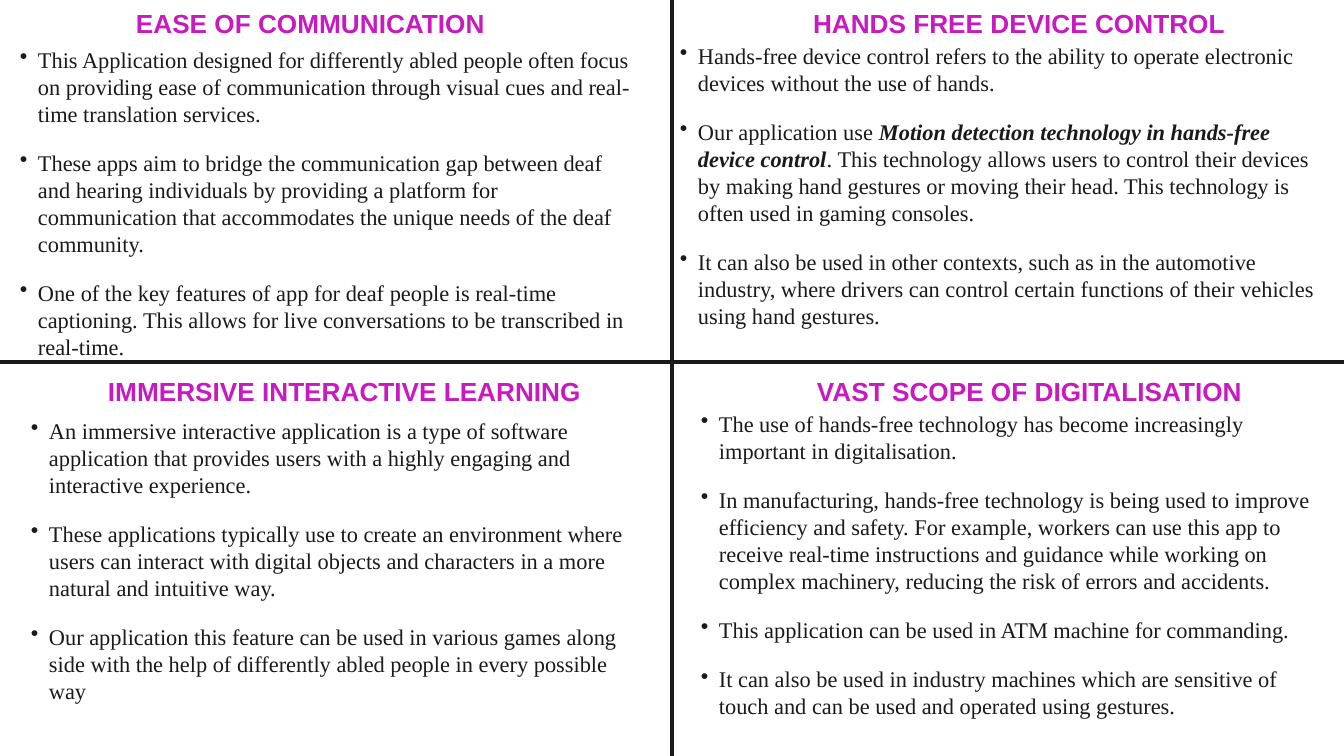
from lxml import etree
from pptx import Presentation
from pptx.dml.color import RGBColor
from pptx.enum.shapes import MSO_CONNECTOR
from pptx.oxml.ns import qn
from pptx.util import Emu, Pt

STRAIGHT = MSO_CONNECTOR.STRAIGHT
SCALE = 914400 / 134.4
WIDTH, HEIGHT = 1344, 756
MID_X, MID_Y = 672, 362
INK, MAGENTA = "1A1A1A", "C71ABF"
INDENT = 18

QUADRANTS = [
    ((0, 0), "EASE OF COMMUNICATION", (136, 7, 360, 31), (20, 46, 612, 313), [
        "This Application designed for differently abled people often focus on providing ease of "
        "communication through visual cues and real-time translation services.",
        "These apps aim to bridge the communication gap between deaf and hearing individuals by "
        "providing a platform for communication that accommodates the unique needs of the deaf community.",
        "One of the key features of app for deaf people is real-time captioning. This allows for live "
        "conversations to be transcribed in real-time.",
    ]),
    ((MID_X, 0), "HANDS FREE DEVICE CONTROL", (141, 7, 422, 31), (8, 42, 638, 286), [
        "Hands-free device control refers to the ability to operate electronic devices without the use of hands.",
        "Our application use **Motion detection technology in hands-free device control**. This technology "
        "allows users to control their devices by making hand gestures or moving their head. This "
        "technology is often used in gaming consoles.",
        "It can also be used in other contexts, such as in the automotive industry, where drivers can "
        "control certain functions of their vehicles using hand gestures.",
    ]),
    ((0, MID_Y), "IMMERSIVE INTERACTIVE LEARNING", (108, 13, 484, 31), (31, 55, 612, 313), [
        "An immersive interactive application is a type of software application that provides users with "
        "a highly engaging and interactive experience.",
        "These applications typically use to create an environment where users can interact with digital "
        "objects and characters in a more natural and intuitive way.",
        "Our application this feature can be used in various games along side with the help of "
        "differently abled people in every possible way",
    ]),
    ((MID_X, MID_Y), "VAST SCOPE OF DIGITALISATION", (145, 13, 440, 31), (29, 48, 612, 390), [
        "The use of hands-free technology has become increasingly important in digitalisation.",
        "In manufacturing, hands-free technology is being used to improve efficiency and safety. For "
        "example, workers can use this app to receive real-time instructions and guidance while working "
        "on complex machinery, reducing the risk of errors and accidents.",
        "This application can be used in ATM machine for commanding.",
        "It can also be used in industry machines which are sensitive of touch and can be used and "
        "operated using gestures.",
    ]),
]


def px(n):
    """Turn pixels into EMU."""
    return Emu(round(n * SCALE))


def color(hex_value):
    """Turn a hex string into a colour."""
    return RGBColor.from_string(hex_value)


def add_text_frame(s, origin, box, wrap):
    """Add a text box without margins, placed relative to an origin."""
    x, y, w, h = box
    tf = s.shapes.add_textbox(px(origin[0] + x), px(origin[1] + y), px(w), px(h)).text_frame
    tf.margin_left = tf.margin_top = tf.margin_right = tf.margin_bottom = 0
    tf.word_wrap = wrap
    return tf


def style_run(r, font, size, hex_value, bold=False, italic=False):
    """Set the font of one run."""
    r.font.name = font
    r.font.size = Pt(size)
    r.font.color.rgb = color(hex_value)
    r.font.bold = bold
    r.font.italic = italic


def set_bullet(p):
    """Give a paragraph a hanging bullet."""
    pPr = p._p.get_or_add_pPr()
    pPr.set("marL", str(px(INDENT)))
    pPr.set("indent", str(-px(INDENT)))
    fill = etree.SubElement(pPr, qn("a:buClr"))
    etree.SubElement(fill, qn("a:srgbClr")).set("val", INK)
    etree.SubElement(pPr, qn("a:buChar")).set("char", "•")


def add_quadrant(s, origin, title, title_box, body_box, bullets):
    """Place a heading and its bullet list in one quarter of the slide."""
    tf = add_text_frame(s, origin, title_box, False)
    tf.text = title
    style_run(tf.paragraphs[0].runs[0], "Arial", 14, MAGENTA, bold=True)

    tf = add_text_frame(s, origin, body_box, True)
    for i, bullet in enumerate(bullets):
        p = tf.add_paragraph() if i else tf.paragraphs[0]
        p.space_before = Pt(12)
        set_bullet(p)
        for j, part in enumerate(bullet.split("**")):
            r = p.add_run()
            r.text = part
            strong = j % 2 == 1
            style_run(r, "Times New Roman", 12, INK, strong, strong)


def add_divider(s, x1, y1, x2, y2):
    """Draw one dividing line."""
    line = s.shapes.add_connector(STRAIGHT, px(x1), px(y1), px(x2), px(y2))
    line.line.color.rgb = color(INK)
    line.line.width = Pt(2)
    etree.SubElement(line._element.spPr, qn("a:effectLst"))


def main():
    """Build the slide and save it."""
    prs = Presentation()
    prs.slide_width, prs.slide_height = px(WIDTH), px(HEIGHT)
    s = prs.slides.add_slide(prs.slide_layouts[6])
    add_divider(s, MID_X, HEIGHT, MID_X, 0)
    add_divider(s, 0, MID_Y, WIDTH, MID_Y)
    for quadrant in QUADRANTS:
        add_quadrant(s, *quadrant)
    prs.save("out.pptx")


if __name__ == "__main__":
    main()
